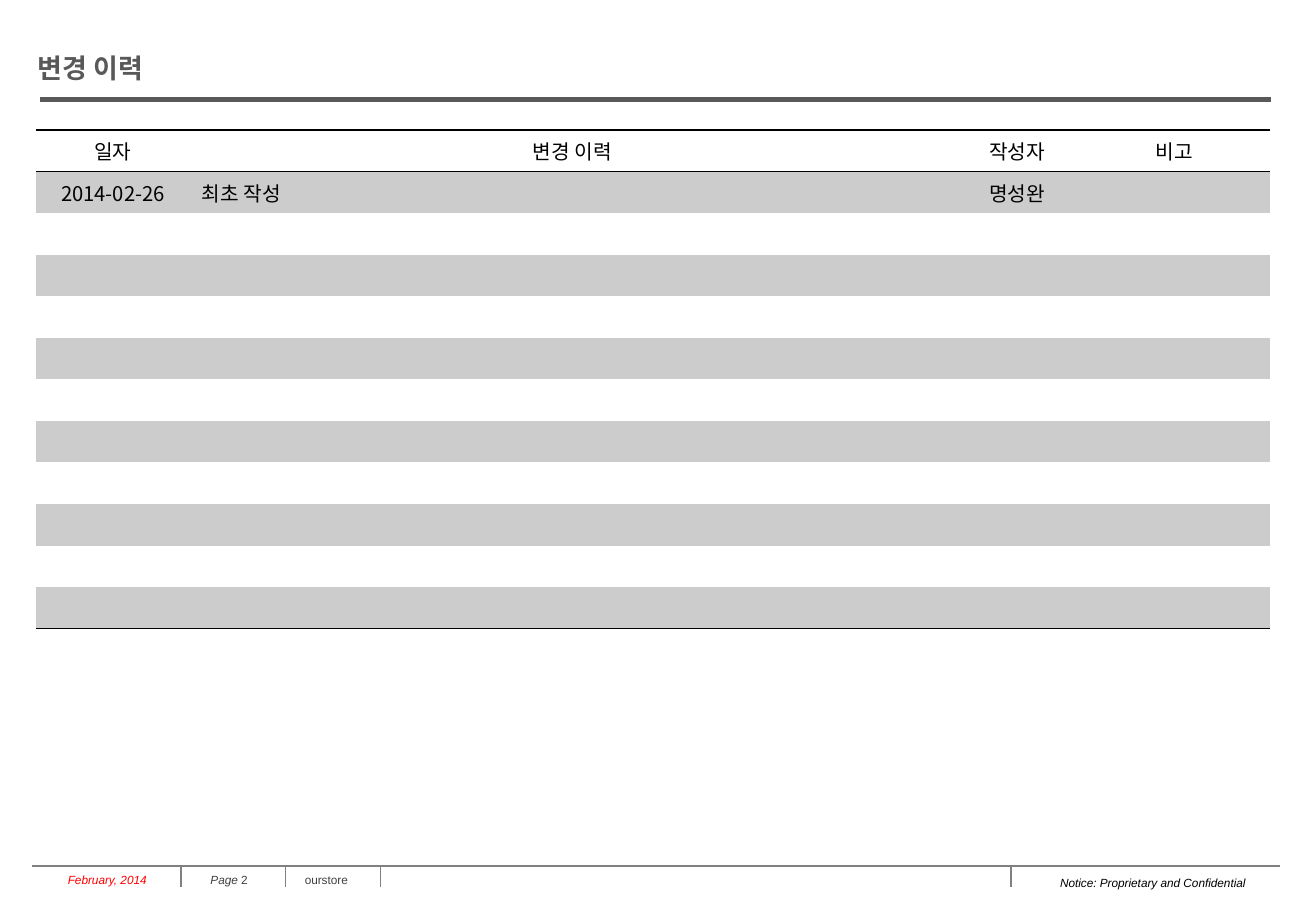
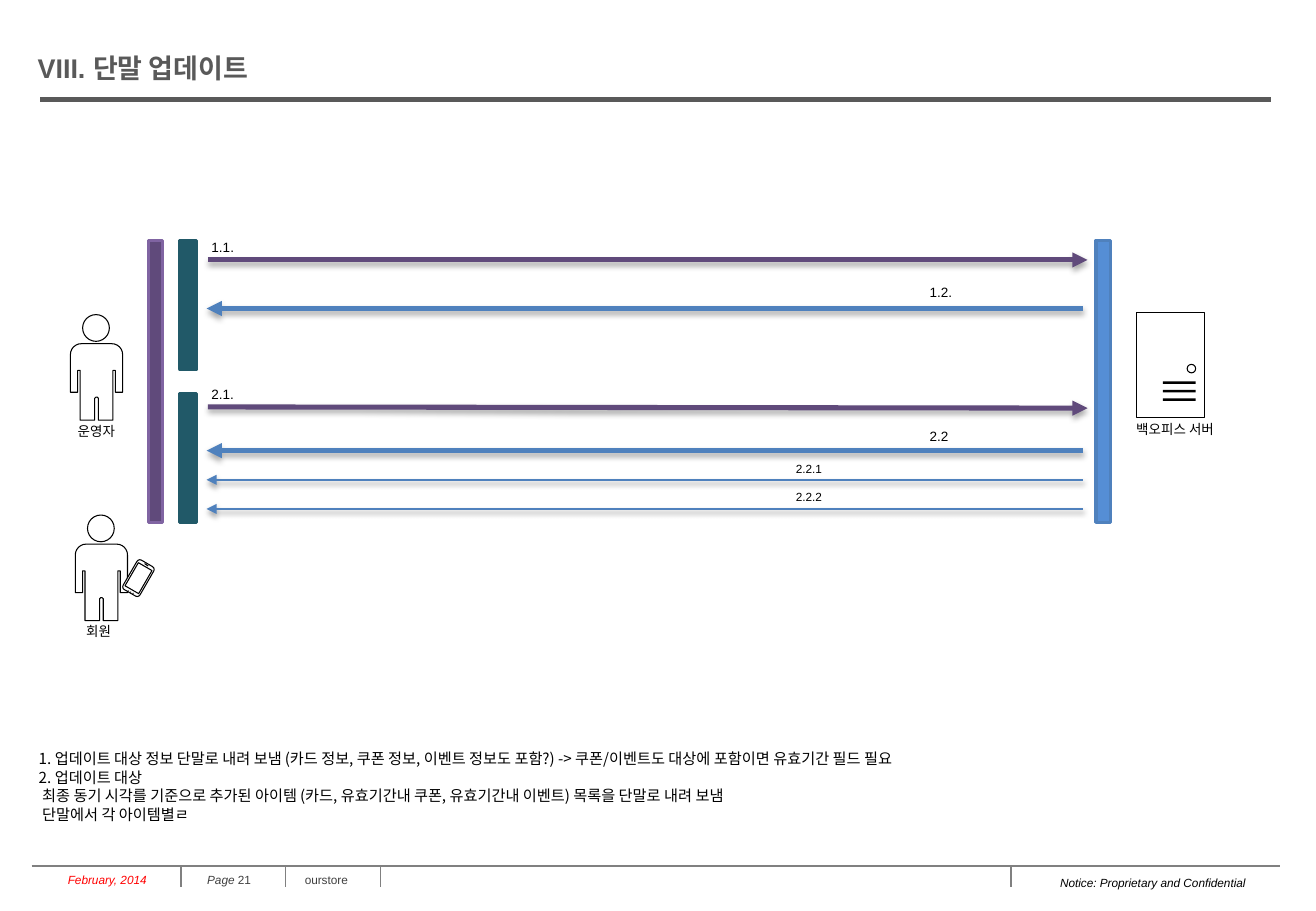
import math

import pptx
import pptx.dml.color
import pptx.enum.dml
import pptx.enum.shapes
import pptx.enum.text
import pptx.oxml
import pptx.oxml.ns
import pptx.util
from lxml import etree

Inches = pptx.util.Inches
Pt = pptx.util.Pt
RGBColor = pptx.dml.color.RGBColor
SHAPE = pptx.enum.shapes.MSO_SHAPE
ALIGN = pptx.enum.text.PP_ALIGN
ANCHOR = pptx.enum.text.MSO_ANCHOR
qn = pptx.oxml.ns.qn

BLACK = RGBColor(0x00, 0x00, 0x00)
WHITE = RGBColor(0xFF, 0xFF, 0xFF)
RED = RGBColor(0xFF, 0x00, 0x00)
TITLE_GRAY = RGBColor(0x59, 0x59, 0x59)
FOOTER_GRAY = RGBColor(0x40, 0x40, 0x40)
RULE_GRAY = RGBColor(0x80, 0x80, 0x80)
BAND_GRAY = RGBColor(0xCC, 0xCC, 0xCC)
PURPLE = RGBColor(0x60, 0x4A, 0x7B)
PURPLE_EDGE = RGBColor(0x80, 0x64, 0xA2)
BLUE = RGBColor(0x4F, 0x81, 0xBD)
BLUE_FILL = RGBColor(0x55, 0x8E, 0xD5)
TEAL = RGBColor(0x21, 0x59, 0x68)

ARIAL = "Arial"
KOREAN = "Noto Sans CJK KR"
NO_STYLE = "{2D5ABB26-0587-4C30-8999-92F81FD0307C}"
OUTLINE = 0.63


def add_run(paragraph, text, size=8, color=BLACK, font=ARIAL, bold=False, italic=False):
    run = paragraph.add_run()
    run.text = text
    run.font.size = Pt(size)
    run.font.bold = bold
    run.font.italic = italic
    run.font.name = font
    run.font.color.rgb = color
    etree.SubElement(run.font._element, qn("a:ea"), typeface=KOREAN)


def write_text(frame, text, align=ALIGN.LEFT, anchor=ANCHOR.TOP, spacing=None,
               insets=None, wrap=True, **style):
    frame.word_wrap = wrap
    frame.vertical_anchor = anchor
    if insets is not None:
        (frame.margin_left, frame.margin_top,
         frame.margin_right, frame.margin_bottom) = map(Inches, insets)
    for index, line in enumerate(text.split("\n")):
        paragraph = frame.add_paragraph() if index else frame.paragraphs[0]
        paragraph.alignment = align
        paragraph.line_spacing = spacing
        add_run(paragraph, line, **style)


def add_text(shapes, box, text, **style):
    label = shapes.add_textbox(*map(Inches, box))
    write_text(label.text_frame, text, **style)
    return label


def add_label(shapes, box, text, **style):
    return add_text(shapes, box, text, insets=(0, 0, 0, 0), **style)


def paint(shape, fill, line, width):
    shape.shadow.inherit = False
    shape.fill.solid()
    shape.fill.fore_color.rgb = fill
    if line is None:
        shape.line.fill.background()
    else:
        shape.line.color.rgb = line
        shape.line.width = Pt(width)


def add_figure(shapes, kind, box, fill=WHITE, line=BLACK, width=OUTLINE):
    figure = shapes.add_shape(kind, *map(Inches, box))
    paint(figure, fill, line, width)
    return figure


def add_line(shapes, start, end, color, width):
    line = shapes.add_connector(pptx.enum.shapes.MSO_CONNECTOR.STRAIGHT,
                                *map(Inches, (*start, *end)))
    line.line.color.rgb = color
    line.line.width = Pt(width)
    etree.SubElement(line._element.spPr, qn("a:effectLst"))
    return line


def add_arrow(shapes, start, end, color, width):
    arrow = add_line(shapes, start, end, color, width)
    etree.SubElement(arrow.line._get_or_add_ln(), qn("a:tailEnd"), type="triangle")
    effects = arrow._element.spPr.find(qn("a:effectLst"))
    shadow = etree.SubElement(effects, qn("a:outerShdw"), blurRad=str(Pt(3.1)),
                              dist=str(Pt(1.8)), dir="5400000", rotWithShape="0")
    tint = etree.SubElement(shadow, qn("a:srgbClr"), val=str(BLACK))
    etree.SubElement(tint, qn("a:alpha"), val="35000")


def add_footer(slide, left, top, page):
    shapes = slide.shapes
    small = dict(size=7, anchor=ANCHOR.MIDDLE)
    add_line(shapes, (left, top), (left + 10.27, top), RULE_GRAY, 0.75)
    for offset in (1.23, 2.09, 2.87, 8.06):
        add_line(shapes, (left + offset, top), (left + offset, top + 0.17), RULE_GRAY, 0.75)
    add_text(shapes, (left + 0.2, top + 0.03, 1.05, 0.16), "February, 2014",
             color=RED, italic=True, wrap=False, **small)
    page_label = add_text(shapes, (left + 1.23, top, 0.79, 0.22), "Page ",
                          align=ALIGN.CENTER, color=FOOTER_GRAY, italic=True, **small)
    add_run(page_label.text_frame.paragraphs[0], page, size=7, color=FOOTER_GRAY)
    add_text(shapes, (left + 2.15, top + 0.03, 0.72, 0.16), "ourstore",
             color=FOOTER_GRAY, wrap=False, insets=(0.1, 0, 0, 0), **small)
    add_text(shapes, (left + 7.64, top + 0.03, 2.4, 0.22), "Notice: Proprietary and Confidential",
             size=7, italic=True, align=ALIGN.RIGHT, insets=(0.05, 0.05, 0.05, 0.05))


def add_page(deck, heading, page):
    slide = deck.slides.add_slide(deck.slide_layouts[5])
    title = slide.shapes.title
    title.left, title.top, title.width, title.height = map(Inches, (0.24, 0.36, 9.75, 0.39))
    write_text(title.text_frame, heading, size=16, color=TITLE_GRAY, bold=True,
               anchor=ANCHOR.MIDDLE, insets=(0.07, 0.04, 0.07, 0.04))
    add_line(slide.shapes, (0.33, 0.82), (10.46, 0.82), TITLE_GRAY, 3)
    add_footer(slide, 0.26, 7.13, page)
    return slide


def add_border(cell, side):
    border = etree.SubElement(cell._tc.get_or_add_tcPr(), qn(side), w=str(Pt(1)))
    fill = etree.SubElement(border, qn("a:solidFill"))
    etree.SubElement(fill, qn("a:srgbClr"), val=str(BLACK))


def add_history(slide, left, top):
    entries = [("일자", "변경 이력", "작성자", "비고"),
               ("2014-02-26", "최초 작성", "명성완", "")]
    widths = (1.26, 6.3, 1.02, 1.57)
    row_count, height = 12, 4.11
    history = slide.shapes.add_table(
        row_count, len(widths), Inches(left), Inches(top),
        Inches(sum(widths)), Inches(height)).table
    history.first_row = history.horz_banding = False
    history._tbl.tblPr.find(qn("a:tableStyleId")).text = NO_STYLE
    for column, width in zip(history.columns, widths):
        column.width = Inches(width)
    for row_index, row in enumerate(history.rows):
        row.height = Inches(height / row_count)
        texts = entries[row_index] if row_index < len(entries) else [""] * len(widths)
        for column_index, (cell, text) in enumerate(zip(row.cells, texts)):
            if row_index == 0:
                add_border(cell, "a:lnT")
            if row_index in (0, row_count - 1):
                add_border(cell, "a:lnB")
            if row_index % 2:
                cell.fill.solid()
                cell.fill.fore_color.rgb = BAND_GRAY
            else:
                cell.fill.background()
            cell.vertical_anchor = ANCHOR.MIDDLE if row_index else ANCHOR.TOP
            paragraph = cell.text_frame.paragraphs[0]
            if text:
                centered = row_index == 0 or column_index != 1
                paragraph.alignment = ALIGN.CENTER if centered else ALIGN.LEFT
                add_run(paragraph, text, size=12, font=KOREAN)
            else:
                etree.SubElement(paragraph._p, qn("a:endParaRPr"), sz="1200")


def add_person(slide, left, top, name, name_offset):
    person = slide.shapes.add_group_shape().shapes
    add_figure(person, SHAPE.OVAL, (left + 0.1, top, 0.22, 0.22))
    width, shoulder, radius = 0.43, 0.24, 0.09
    angles = [math.radians(step * 15) for step in range(7)]
    right_half = [(width - radius + radius * math.sin(angle),
                   shoulder + radius - radius * math.cos(angle)) for angle in angles]
    right_half += [(0.43, 0.64), (0.37, 0.64), (0.37, 0.46), (0.35, 0.46),
                   (0.35, 0.87), (0.23, 0.87), (0.23, 0.69), (0.22, 0.68)]
    left_half = [(width - x, y) for x, y in reversed(right_half)]
    points = [(Inches(left + x), Inches(top + y)) for x, y in right_half + left_half]
    body = person.build_freeform(*points[0])
    body.add_line_segments(points[1:], close=True)
    paint(body.convert_to_shape(), WHITE, BLACK, OUTLINE)
    add_label(person, (left + name_offset, top + 0.89, 0.34, 0.13), name, wrap=False)


def add_phone(slide, left, top):
    phone = slide.shapes.add_group_shape().shapes
    center_x, center_y = left + 0.14, top + 0.16
    for kind, width, height in ((SHAPE.ROUNDED_RECTANGLE, 0.16, 0.28),
                                (SHAPE.RECTANGLE, 0.13, 0.22)):
        panel = add_figure(phone, kind,
                           (center_x - width / 2, center_y - height / 2, width, height))
        panel.rotation = 30
    for index in range(3):
        add_figure(phone, SHAPE.OVAL,
                   (left + 0.05 + index * 0.02, top + 0.26 + index * 0.01, 0.01, 0.01),
                   fill=BLACK, line=None)
    add_line(phone, (left + 0.19, top + 0.04), (left + 0.22, top + 0.06), BLACK, OUTLINE)


def add_server(slide, left, top):
    server = slide.shapes.add_group_shape().shapes
    add_figure(server, SHAPE.RECTANGLE, (left, top, 0.56, 0.87))
    add_figure(server, SHAPE.OVAL, (left + 0.42, top + 0.43, 0.07, 0.07))
    for index in range(3):
        add_figure(server, SHAPE.RECTANGLE, (left + 0.22, top + 0.57 + index * 0.07, 0.27, 0.02),
                   fill=BLACK, line=None)
    add_label(server, (left, top + 0.9, 0.71, 0.13), "백오피스 서버", wrap=False)


def add_sequence(slide, left, top):
    shapes = slide.shapes
    lifelines = [(0, 0, 0.12, 2.32, PURPLE, PURPLE_EDGE),
                 (0.26, 0, 0.14, 1.06, TEAL, TEAL),
                 (0.26, 1.26, 0.14, 1.06, TEAL, TEAL),
                 (7.8, 0, 0.12, 2.32, BLUE_FILL, BLUE)]
    for x, y, width, height, fill, edge in lifelines:
        add_figure(shapes, SHAPE.RECTANGLE, (left + x, top + y, width, height),
                   fill=fill, line=edge, width=2)
    requests = [("1.1.", 0.16, 0.16, -0.01, 0.55), ("2.1.", 1.37, 1.38, 1.2, 1.1)]
    for text, start_y, end_y, label_y, label_width in requests:
        add_arrow(shapes, (left + 0.49, top + start_y), (left + 7.73, top + end_y), PURPLE, 3)
        add_label(shapes, (left + 0.52, top + label_y, label_width, 0.13), text)
    replies = [("1.2.", 0.56, 0.36, 6.43, 8, 3), ("2.2", 1.73, 1.54, 6.43, 8, 3),
               ("2.2.1", 1.97, 1.82, 5.33, 7, 1.5), ("2.2.2", 2.21, 2.05, 5.33, 7, 1.5)]
    for text, y, label_y, label_x, size, weight in replies:
        add_arrow(shapes, (left + 7.69, top + y), (left + 0.48, top + y), BLUE, weight)
        add_label(shapes, (left + label_x, top + label_y, 7.66 - label_x, 0.13), text, size=size)


def add_update_rules(slide, left, top):
    lines = [
        "1. 업데이트 대상 정보 단말로 내려 보냄 (카드 정보, 쿠폰 정보, 이벤트 정보도 포함?) -> "
        "쿠폰/이벤트도 대상에 포함이면 유효기간 필드 필요",
        "2. 업데이트 대상",
        " 최종 동기 시각를 기준으로 추가된 아이템 (카드, 유효기간내 쿠폰, 유효기간내 이벤트) "
        "목록을 단말로 내려 보냄",
        " 단말에서 각 아이템별ㄹ",
    ]
    add_text(slide.shapes, (left, top, 10.32, 0.71), "\n".join(lines),
             size=9, font=KOREAN, spacing=Pt(11))


def main():
    deck = pptx.Presentation()
    deck.slide_width, deck.slide_height = Inches(10.83), Inches(7.5)

    history_page = add_page(deck, "변경 이력", "2")
    add_history(history_page, 0.3, 1.07)

    update_page = add_page(deck, "VIII. 단말 업데이트", "21")
    add_server(update_page, 9.35, 2.57)
    add_person(update_page, 0.58, 2.59, "운영자", 0.06)
    add_sequence(update_page, 1.22, 1.98)
    add_person(update_page, 0.62, 4.24, "회원", 0.09)
    add_phone(update_page, 1, 4.6)
    add_update_rules(update_page, 0.22, 6.12)

    deck.save("out.pptx")


if __name__ == "__main__":
    main()
